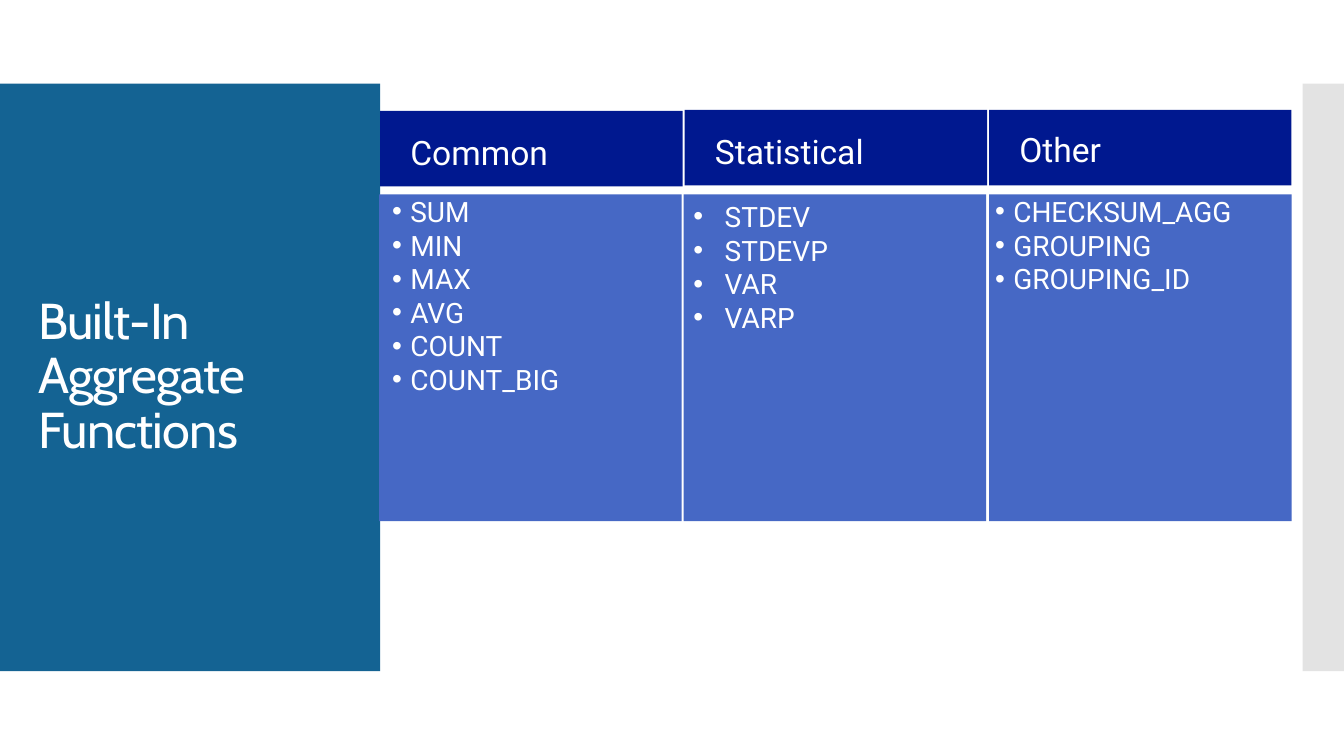
"""Build the slide that groups the built-in aggregate functions in three columns."""
from dataclasses import dataclass

from lxml.etree import SubElement
from pptx import Presentation
from pptx.dml.color import RGBColor
from pptx.enum.shapes import MSO_SHAPE
from pptx.enum.text import MSO_ANCHOR, MSO_AUTO_SIZE, PP_ALIGN
from pptx.oxml.ns import qn
from pptx.shapes.autoshape import Shape
from pptx.slide import Slide
from pptx.util import Inches, Pt

WHITE = "FFFFFF"
BAND_TOP, BAND_HEIGHT = 0.83, 5.83
COLUMN_WIDTH = 3
CARD_TOP, CARD_HEIGHT = 1.93, 3.24
HEADER_HEIGHT = 0.75
DEFAULT_INSETS = (0.1, 0.05, 0.1, 0.05)
HEADER_INSETS = (0.3, 0.12, 0.1, 0.05)


@dataclass(frozen=True)
class Column:
    heading: str
    functions: tuple[str, ...]
    card_left: float
    header_left: float
    header_top: float = 1.09
    heading_spacing: float = 1.0
    list_left: float | None = None
    list_width: float = COLUMN_WIDTH
    indent: float = 0.18


COLUMNS = (
    Column("Common", ("SUM", "MIN", "MAX", "AVG", "COUNT", "COUNT_BIG"),
           3.76, 3.77, header_top=1.1, list_left=3.89, list_width=2.64),
    Column("Statistical", ("STDEV", "STDEVP", "VAR", "VARP"),
           6.78, 6.79, indent=0.31),
    Column("Other", ("CHECKSUM_AGG", "GROUPING", "GROUPING_ID"),
           9.81, 9.81, heading_spacing=0.9, list_left=9.87, list_width=2.87),
)


def rgb(color: str) -> RGBColor:
    return RGBColor.from_string(color)


def write_text(target: Shape, lines: tuple[str, ...], *, size: float,
               font: str = "Roboto", color: str = WHITE,
               anchor: MSO_ANCHOR = MSO_ANCHOR.TOP,
               insets: tuple[float, ...] = DEFAULT_INSETS,
               line_spacing: float = 1.0, indent: float = 0,
               tracking: float = 0) -> None:
    frame = target.text_frame
    frame.word_wrap = True
    frame.auto_size = MSO_AUTO_SIZE.NONE
    frame.vertical_anchor = anchor
    (frame.margin_left, frame.margin_top,
     frame.margin_right, frame.margin_bottom) = map(Inches, insets)
    for index, line in enumerate(lines):
        paragraph = frame.add_paragraph() if index else frame.paragraphs[0]
        paragraph.alignment = PP_ALIGN.LEFT
        paragraph.line_spacing = line_spacing
        run = paragraph.add_run()
        run.text = line
        run.font.name, run.font.size = font, Pt(size)
        run.font.color.rgb = rgb(color)
        if tracking:
            run.font._element.set("spc", str(round(tracking * 100)))
        if indent:
            properties = paragraph._p.get_or_add_pPr()
            properties.set("marL", str(Inches(indent)))
            properties.set("indent", str(-Inches(indent)))
            SubElement(properties, qn("a:buFont")).set("typeface", "Arial")
            SubElement(properties, qn("a:buChar")).set("char", "•")


def add_panel(slide: Slide, left: float, top: float, width: float, height: float,
              color: str, *, preset: MSO_SHAPE = MSO_SHAPE.RECTANGLE,
              opacity: int = 100) -> Shape:
    panel = slide.shapes.add_shape(
        preset, Inches(left), Inches(top), Inches(width), Inches(height))
    panel.shadow.inherit = False
    panel.line.fill.background()
    panel.fill.solid()
    panel.fill.fore_color.rgb = rgb(color)
    if opacity < 100:
        tint = panel._element.spPr.find(qn("a:solidFill"))[0]
        SubElement(tint, qn("a:alpha")).set("val", str(opacity * 1000))
    return panel


def add_title(slide: Slide) -> None:
    title = slide.shapes.title
    title.left, title.top = Inches(0.28), Inches(1.23)
    title.width, title.height = Inches(3.22), Inches(5.03)
    write_text(title, ("Built-In Aggregate Functions",), size=36, font="Cabin",
               anchor=MSO_ANCHOR.MIDDLE, line_spacing=0.9, tracking=-0.6)
    slide.shapes._spTree.append(title._element)


def add_function_card(slide: Slide, column: Column) -> None:
    card = add_panel(slide, column.card_left, CARD_TOP, COLUMN_WIDTH, CARD_HEIGHT,
                     "4668C5", preset=MSO_SHAPE.ROUNDED_RECTANGLE)
    card.adjustments[0] = 0
    holder, insets = card, DEFAULT_INSETS
    if column.list_left is not None:
        holder = slide.shapes.add_textbox(
            Inches(column.list_left), Inches(CARD_TOP),
            Inches(column.list_width), Inches(2.97))
        insets = (0, 0, 0, 0)
    write_text(holder, column.functions, size=20, insets=insets,
               indent=column.indent)


def add_header(slide: Slide, column: Column) -> None:
    header = add_panel(slide, column.header_left, column.header_top,
                       COLUMN_WIDTH, HEADER_HEIGHT, "00188F")
    write_text(header, (column.heading,), size=24, anchor=MSO_ANCHOR.MIDDLE,
               insets=HEADER_INSETS, line_spacing=column.heading_spacing)


def main() -> None:
    deck = Presentation()
    deck.slide_width, deck.slide_height = Inches(13.33), Inches(7.5)
    slide = deck.slides.add_slide(deck.slide_layouts[5])
    add_panel(slide, 0, BAND_TOP, 3.77, BAND_HEIGHT, "146393")
    add_panel(slide, 12.92, BAND_TOP, 0.42, BAND_HEIGHT, "C8C8C8", opacity=50)
    add_title(slide)
    for column in reversed(COLUMNS):
        add_function_card(slide, column)
    for column in COLUMNS:
        add_header(slide, column)
    deck.save("out.pptx")


if __name__ == "__main__":
    main()
